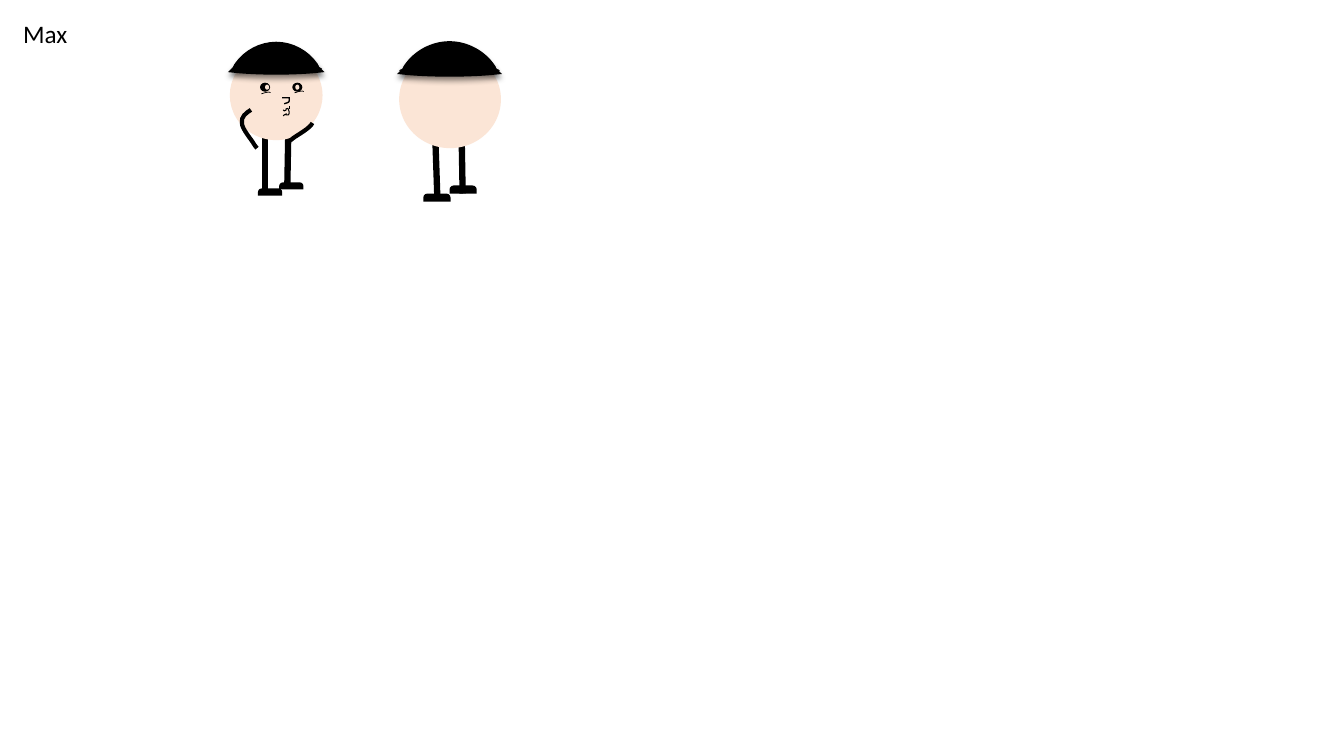
from lxml.etree import SubElement
from pptx import Presentation
from pptx.dml.color import RGBColor
from pptx.enum.shapes import MSO_CONNECTOR, MSO_SHAPE
from pptx.enum.text import MSO_AUTO_SIZE
from pptx.oxml.ns import qn
from pptx.util import Inches, Pt

STRAIGHT = MSO_CONNECTOR.STRAIGHT
OVAL, ARC, SHOE = MSO_SHAPE.OVAL, MSO_SHAPE.ARC, MSO_SHAPE.ROUND_2_SAME_RECTANGLE
FIT_TEXT = MSO_AUTO_SIZE.SHAPE_TO_FIT_TEXT
COLORS = {"ink": "000000", "skin": "FBE5D6"}

prs = Presentation()
prs.slide_height = Inches(7.5)
prs.slide_width = prs.slide_height * 16 // 9
slide = prs.slides.add_slide(prs.slide_layouts[6])
shapes = slide.shapes
CELL = prs.slide_height / 750


def paint(part, fill=None, weight=None):
    part.shadow.inherit = False
    if fill:
        part.fill.solid()
        part.fill.fore_color.rgb = RGBColor.from_string(COLORS[fill])
    elif hasattr(part, "fill"):
        part.fill.background()
    if weight:
        part.line.width = Pt(weight)
        part.line.color.rgb = RGBColor.from_string(COLORS["ink"])
        SubElement(part.line._get_or_add_ln(), qn("a:miter"), lim="800000")
    else:
        part.line.fill.background()
    return part


def outline(segments, origin=(0, 0), scale=1, close=False):
    points = [segment[i:i + 2] for segment in segments for i in range(0, len(segment), 2)]
    placed = [tuple(round((o + v * scale) * CELL) for o, v in zip(origin, point))
              for point in points]
    builder = shapes.build_freeform(*placed[0], scale=1.0)
    builder.add_line_segments(placed[1:], close=close)
    part = builder.convert_to_shape()
    steps = iter(list(part.element.iter(qn("a:lnTo"))))
    for segment in segments[1:]:
        step = next(steps)
        if len(segment) == 6:
            curve = SubElement(step.getparent(), qn("a:cubicBezTo"))
            step.addprevious(curve)
            for control in (step, next(steps), next(steps)):
                curve.append(control[0])
                control.getparent().remove(control)
    return part


name_label = shapes.add_textbox(*(round(v * CELL) for v in (13, 13, 78, 40)))
name_frame = name_label.text_frame
for attribute, value in {"word_wrap": True, "auto_size": FIT_TEXT}.items():
    setattr(name_frame, attribute, value)
name_run = name_frame.paragraphs[0].add_run()
name_run.text = "Max"
for attribute, value in {"name": "Calibri", "size": Pt(18)}.items():
    setattr(name_run.font, attribute, value)
name_run.font.color.rgb = RGBColor.from_string(COLORS["ink"])

brim = [(0, 17), (17, 17, 33, 17, 42, 18), (43, 18), (44, 20), (45, 21),
        (36, 22, 19, 23, 0, 23), (-19, 23, -36, 22, -45, 21), (-44, 20),
        (-43, 18), (-42, 18), (-33, 17, -17, 17, 0, 17)]
crown = [(0, -6), (17, -6, 33, 3, 42, 16), (43, 18), (42, 18), (33, 17, 17, 17, 0, 17),
         (-17, 17, -33, 17, -42, 18), (-43, 18), (-42, 16), (-33, 3, -17, -6, 0, -6)]
right_tip = [(43, 18), (44, 18), (48, 19, 50, 19, 50, 20), (50, 20, 49, 20, 46, 21),
             (45, 21), (44, 20)]
left_tip = [tuple(-v if i % 2 == 0 else v for i, v in enumerate(segment))
            for segment in right_tip]

figures = [
    {"head": (396, 50, 101, 97), "center": 446, "scale": 1, "left_tip": (446, 50),
     "legs": [(458, 136, 459, 192), (432, 140, 434, 199)],
     "shoes": [(420, 192, 27, 8), (446, 184, 27, 8)]},
    {"head": (228, 50, 92, 89), "center": 274, "scale": 0.91, "left_tip": (333, 47),
     "legs": [(263, 133, 263, 191), (286, 133, 285, 186)],
     "shoes": [(277, 181, 24, 7), (256, 187, 24, 7)]},
]

for figure in figures:
    for leg in figure["legs"]:
        paint(shapes.add_connector(STRAIGHT, *(round(v * CELL) for v in leg)), weight=4.5)
    paint(shapes.add_shape(OVAL, *(round(v * CELL) for v in figure["head"])), "skin")
    for place in figure["shoes"]:
        shoe = paint(shapes.add_shape(SHOE, *(round(v * CELL) for v in place)), "ink")
        shoe.adjustments[0] = 0.5
    hat_origin, scale = (figure["center"], 50), figure["scale"]
    for hat_part in (brim, crown):
        hat = paint(outline(hat_part, hat_origin, scale, True), "ink", 4.5)
        effects = hat.element.spPr.find(qn("a:effectLst"))
        shade = SubElement(effects, qn("a:outerShdw"), blurRad=str(Pt(4)),
                           dist=str(Pt(3)), dir="5400000", rotWithShape="0")
        shade_color = SubElement(shade, qn("a:srgbClr"), val=COLORS["ink"])
        SubElement(shade_color, qn("a:alpha"), val="40000")
    paint(outline(left_tip, figure["left_tip"], scale, True), "ink")
    paint(outline(right_tip, hat_origin, scale, True), "ink")

eyes = [((258, 82, 10, 9), "ink"), ((290, 82, 10, 9), "ink"),
        ((263, 84, 4, 5), "skin"), ((293, 84, 4, 5), "skin")]
for place, color in eyes:
    paint(shapes.add_shape(OVAL, *(round(v * CELL) for v in place)), color)

strokes = {
    "raised arm": (3, [(249, 109), (244, 112, 239, 116, 240, 122),
                       (240, 128, 250, 139, 252, 143), (254, 146, 255, 147, 255, 147)]),
    "lowered arm": (3, [(310, 122), (308, 127, 295, 134, 291, 137),
                        (287, 140, 288, 140, 288, 140)]),
    "nose": (1, [(280, 97), (280, 97, 281, 97, 281, 97), (282, 97, 282, 97, 283, 97),
                 (284, 97, 286, 97, 287, 97), (287, 98, 287, 100, 287, 100),
                 (287, 101, 286, 102, 285, 102), (284, 103, 283, 103, 282, 103)]),
    "lips": (0.75, [(281, 109), (281, 109, 281, 109, 282, 110),
                    (282, 110, 283, 110, 284, 109), (284, 109, 284, 108, 284, 108),
                    (285, 108, 286, 107, 286, 108), (287, 109, 287, 110, 287, 111),
                    (287, 112, 287, 114, 286, 114), (286, 114, 285, 114, 284, 114),
                    (284, 114, 284, 113, 284, 113), (284, 113, 284, 113, 282, 114),
                    (281, 114, 282, 114, 281, 115)]),
}
for weight, segments in strokes.values():
    paint(outline(segments), weight=weight)

philtrum = (287, 105, 287, 108)
paint(shapes.add_connector(STRAIGHT, *(round(v * CELL) for v in philtrum)), weight=0.75)
for lash_place in ((251, 93, 18, 4), (284, 92, 18, 4)):
    lash = paint(shapes.add_shape(ARC, *(round(v * CELL) for v in lash_place)), weight=0.5)
    lash.rotation = 339.4

prs.save("out.pptx")
